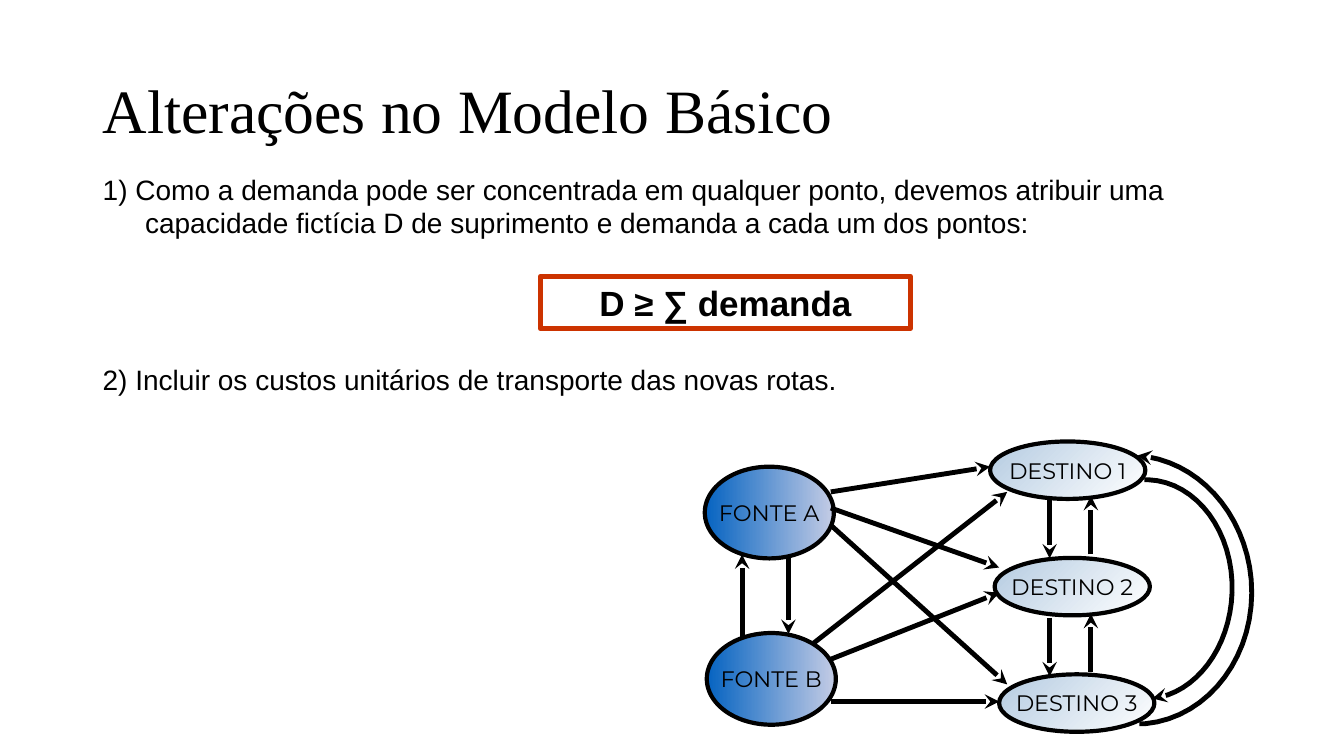
from lxml import etree
from pptx import Presentation
from pptx.dml.color import RGBColor
from pptx.enum import shapes, text
from pptx.oxml import ns
from pptx.util import Inches, Pt

COLORS = {
    "ink": "000000", "paper": "FFFFFF", "frame": "CC3300",
    "source_from": "0563C1", "source_to": "C4CCE5",
    "target_from": "B4CBE1", "target_to": "FFFFFF",
}
ROUTES = [
    ((1.25, 0.5), (2.83, 0.25)), ((1.25, 0.66), (2.92, 1.25)),
    ((1.25, 0.83), (3, 2.41)), ((1.08, 2), (3, 0.5)),
    ((1.25, 2.16), (2.92, 1.5)), ((1.25, 2.58), (2.92, 2.58)),
    ((0.83, 1.16), (0.83, 1.91)), ((0.37, 1.95), (0.37, 1.12)),
]
# Chained cubic curves from tail to arrow tip, three points per segment after the first
LOOPS = [
    [(4.31, 2.8), (4.33, 2.8), (4.35, 2.8), (4.37, 2.8),
     (5.01, 2.74), (5.48, 2.1), (5.42, 1.37),
     (5.36, 0.7), (4.88, 0.18), (4.29, 0.14)],
    [(4.36, 0.38), (4.37, 0.38), (4.38, 0.38), (4.4, 0.38),
     (4.88, 0.4), (5.25, 0.9), (5.23, 1.5),
     (5.21, 2.05), (4.87, 2.5), (4.44, 2.55)],
]


def rgb(name):
    return RGBColor.from_string(COLORS[name])


def write(box, words, size, font="Arial", bold=False, align=None):
    para = box.text_frame.paragraphs[0]
    para.alignment = align
    span = para.add_run()
    span.text = words
    span.font.size, span.font.name, span.font.bold = Pt(size), font, bold
    span.font.color.rgb = rgb("ink")
    return para


def add_text(page, left, top, width, height, words, size, **style):
    box = page.shapes.add_textbox(*map(Inches, (left, top, width, height)))
    box.text_frame.word_wrap = True
    return box, write(box, words, size, **style)


def add_title(page, left, top, width, height):
    box, para = add_text(page, left, top, width, height,
                         "Alterações no Modelo Básico", 44, font="Times New Roman")
    box.text_frame.vertical_anchor = text.MSO_ANCHOR.MIDDLE
    para.line_spacing = 0.9


def add_item(page, left, top, width, height, words):
    """Numbered statement with a hanging indent."""
    para = add_text(page, left, top, width, height, words, 20)[1]
    properties = para._p.get_or_add_pPr()
    properties.set("marL", str(Inches(0.42)))
    properties.set("indent", str(Inches(-0.42)))


def add_formula(page, left, top, width, height):
    box = page.shapes.add_shape(shapes.MSO_SHAPE.RECTANGLE,
                                *map(Inches, (left, top, width, height)))
    box.shadow.inherit = False
    box.fill.solid()
    box.fill.fore_color.rgb = rgb("paper")
    box.line.color.rgb = rgb("frame")
    box.line.width = Pt(3.5)
    box.text_frame.vertical_anchor = text.MSO_ANCHOR.TOP
    write(box, "D ≥ ∑ demanda", 25, bold=True, align=text.PP_ALIGN.CENTER)


def add_node(page, left, top, width, height, label, kind, angle):
    node = page.shapes.add_shape(shapes.MSO_SHAPE.OVAL,
                                 *map(Inches, (left, top, width, height)))
    node.shadow.inherit = False
    node.fill.gradient()
    node.fill.gradient_angle = angle
    for stop, end in zip(node.fill.gradient_stops, ("from", "to")):
        stop.color.rgb = rgb(f"{kind}_{end}")
    node.line.color.rgb = rgb("ink")
    node.line.width = Pt(3)
    node.text_frame.word_wrap = False
    node.text_frame.vertical_anchor = text.MSO_ANCHOR.MIDDLE
    write(node, label, 16, font="Montserrat", align=text.PP_ALIGN.CENTER)


def style_arrow(arrow):
    arrow.line.color.rgb = rgb("ink")
    arrow.line.width = Pt(3.5)
    etree.SubElement(arrow.line._get_or_add_ln(), ns.qn("a:tailEnd"), type="stealth")


def add_route(page, left, top, start, end):
    points = (left + start[0], top + start[1], left + end[0], top + end[1])
    route = page.shapes.add_connector(shapes.MSO_CONNECTOR.STRAIGHT, *map(Inches, points))
    style_arrow(route)
    etree.SubElement(route._element.spPr, ns.qn("a:effectLst"))


def curve_points(controls, steps=16):
    """Points along a chain of cubic Bézier segments."""
    points = [controls[0]]
    for first in range(0, len(controls) - 1, 3):
        segment = controls[first:first + 4]
        for step in range(1, steps + 1):
            t = step / steps
            weights = ((1 - t) ** 3, 3 * t * (1 - t) ** 2, 3 * t ** 2 * (1 - t), t ** 3)
            points.append(tuple(sum(w * p[axis] for w, p in zip(weights, segment))
                                for axis in (0, 1)))
    return points


def add_loop(page, left, top, controls):
    points = [(Inches(left + x), Inches(top + y)) for x, y in curve_points(controls)]
    builder = page.shapes.build_freeform(*points[0])
    builder.add_line_segments(points[1:], close=False)
    loop = builder.convert_to_shape()
    loop.shadow.inherit = False
    loop.fill.background()
    style_arrow(loop)


def add_network(page, left, top):
    for row, letter in enumerate("AB"):
        add_node(page, left + 0.02 * row, top + 0.25 + 1.65 * row, 1.28, 0.91,
                 f"FONTE {letter}", "source", 0)
    for row in range(3):
        add_node(page, left + 2.83 + 0.045 * row, top + 1.155 * row, 1.54, 0.57,
                 f"DESTINO {row + 1}", "target", 315)
    for start, end in ROUTES:
        add_route(page, left, top, start, end)
    for row in range(2):
        drop = 1.17 * row
        add_route(page, left, top, (3.42, 0.58 + drop), (3.42, 1.16 + drop))
        add_route(page, left, top, (3.83, 1.12 + drop), (3.83, 0.54 + drop))
    for controls in LOOPS:
        add_loop(page, left, top, controls)


def main():
    deck = Presentation()
    deck.slide_width, deck.slide_height = Inches(13.33), Inches(7.5)
    page = deck.slides.add_slide(deck.slide_layouts[6])
    add_network(page, 6.99, 4.38)
    add_item(page, 0.92, 1.66, 11.68, 0.77,
             "1) Como a demanda pode ser concentrada em qualquer ponto, devemos atribuir "
             "uma capacidade fictícia D de suprimento e demanda a cada um dos pontos:")
    add_formula(page, 5.36, 2.74, 3.67, 0.52)
    add_item(page, 0.92, 3.55, 9, 0.43,
             "2) Incluir os custos unitários de transporte das novas rotas.")
    add_title(page, 0.92, 0.4, 11.5, 1.45)
    deck.save("out.pptx")


if __name__ == "__main__":
    main()
